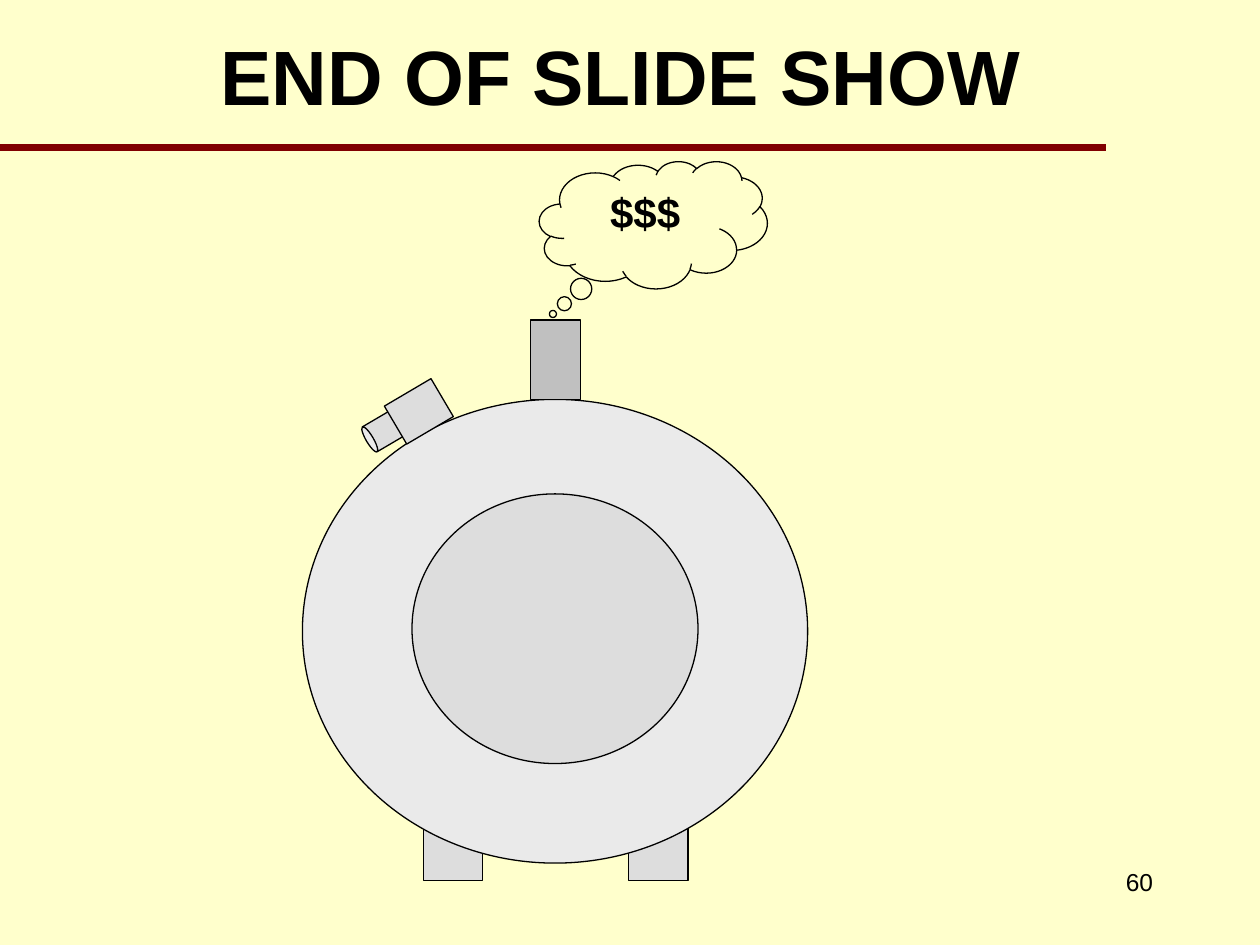
from lxml import etree
from pptx import Presentation
from pptx.dml.color import RGBColor
from pptx.enum.shapes import MSO_CONNECTOR, MSO_SHAPE
from pptx.enum.text import MSO_ANCHOR, PP_ALIGN
from pptx.oxml.ns import qn
from pptx.util import Inches, Pt

RECT, OVAL = MSO_SHAPE.RECTANGLE, MSO_SHAPE.OVAL
CAN, CLOUD = MSO_SHAPE.CAN, MSO_SHAPE.CLOUD_CALLOUT
LEFT, CENTER, RIGHT = PP_ALIGN.LEFT, PP_ALIGN.CENTER, PP_ALIGN.RIGHT

CREAM = RGBColor(0xFF, 0xFF, 0xCC)
MAROON = RGBColor(0x80, 0x00, 0x00)
BLACK = RGBColor(0x00, 0x00, 0x00)
PALE = RGBColor(0xEA, 0xEA, 0xEA)
LIGHT = RGBColor(0xDD, 0xDD, 0xDD)
SILVER = RGBColor(0xC0, 0xC0, 0xC0)

# Content: kind, (left, top, width, height), fill, rotation; back to front
TITLE = "END OF SLIDE SHOW"
SMOKE = "$$$"
PAGE_NUMBER = "60"
FURNACE = [
    (RECT, (4.99, 6.57, 0.47, 0.42), LIGHT, 0),     # right foot
    (RECT, (3.36, 6.57, 0.47, 0.42), LIGHT, 0),     # left foot
    (OVAL, (2.4, 3.17, 4.01, 3.68), PALE, 0),       # body
    (OVAL, (3.27, 3.92, 2.27, 2.14), LIGHT, 0),     # door
    (RECT, (4.21, 2.54, 0.4, 0.63), SILVER, 0),     # chimney
    (CLOUD, (4.28, 1.28, 1.81, 1.01), None, 0),     # smoke
    (CAN, (2.95, 3.23, 0.23, 0.36), LIGHT, 239.5),  # nozzle
    (RECT, (3.11, 3.09, 0.43, 0.35), LIGHT, 329.5), # burner
]


def write(shape, text, size, align, bold=False):
    frame = shape.text_frame
    frame.word_wrap = True
    frame.vertical_anchor = MSO_ANCHOR.TOP
    frame.text = text
    para = frame.paragraphs[0]
    para.alignment = align
    font = para.font
    font.name, font.size, font.bold = "Arial", Pt(size), bold
    font.color.rgb = BLACK


def draw(page, kind, place, fill, rotation):
    shape = page.shapes.add_shape(kind, *map(Inches, place))
    shape.shadow.inherit = False
    shape.rotation = rotation
    if fill is None:
        shape.fill.background()
    else:
        shape.fill.solid()
        shape.fill.fore_color.rgb = fill
    shape.line.color.rgb = BLACK
    shape.line.width = Pt(0.75)
    return shape


def main():
    deck = Presentation()
    deck.slide_width, deck.slide_height = Inches(10), Inches(7.5)
    page = deck.slides.add_slide(deck.slide_layouts[5])
    page.background.fill.solid()
    page.background.fill.fore_color.rgb = CREAM

    # Title and rule; the box has a little spare width to stay on one line
    title = page.shapes.title
    title.left, title.top = Inches(1.65), Inches(0.18)
    title.width, title.height = Inches(6.75), Inches(0.84)
    write(title, TITLE, 44, LEFT, bold=True)
    rule = page.shapes.add_connector(
        MSO_CONNECTOR.STRAIGHT, 0, Inches(1.17), Inches(8.78), Inches(1.17))
    rule.line.color.rgb = MAROON
    rule.line.width = Pt(4)
    etree.SubElement(rule._element.spPr, qn("a:effectLst"))

    # Furnace with its puff of smoke
    for kind, place, fill, rotation in FURNACE:
        shape = draw(page, kind, place, fill, rotation)
        if kind == CLOUD:
            shape.adjustments[0], shape.adjustments[1] = -0.44, 0.7
            write(shape, SMOKE, 24, CENTER, bold=True)

    # Page number
    number = page.shapes.add_textbox(*map(Inches, (7.17, 6.83, 2.08, 0.5)))
    write(number, PAGE_NUMBER, 14, RIGHT)

    deck.save("out.pptx")


if __name__ == "__main__":
    main()
